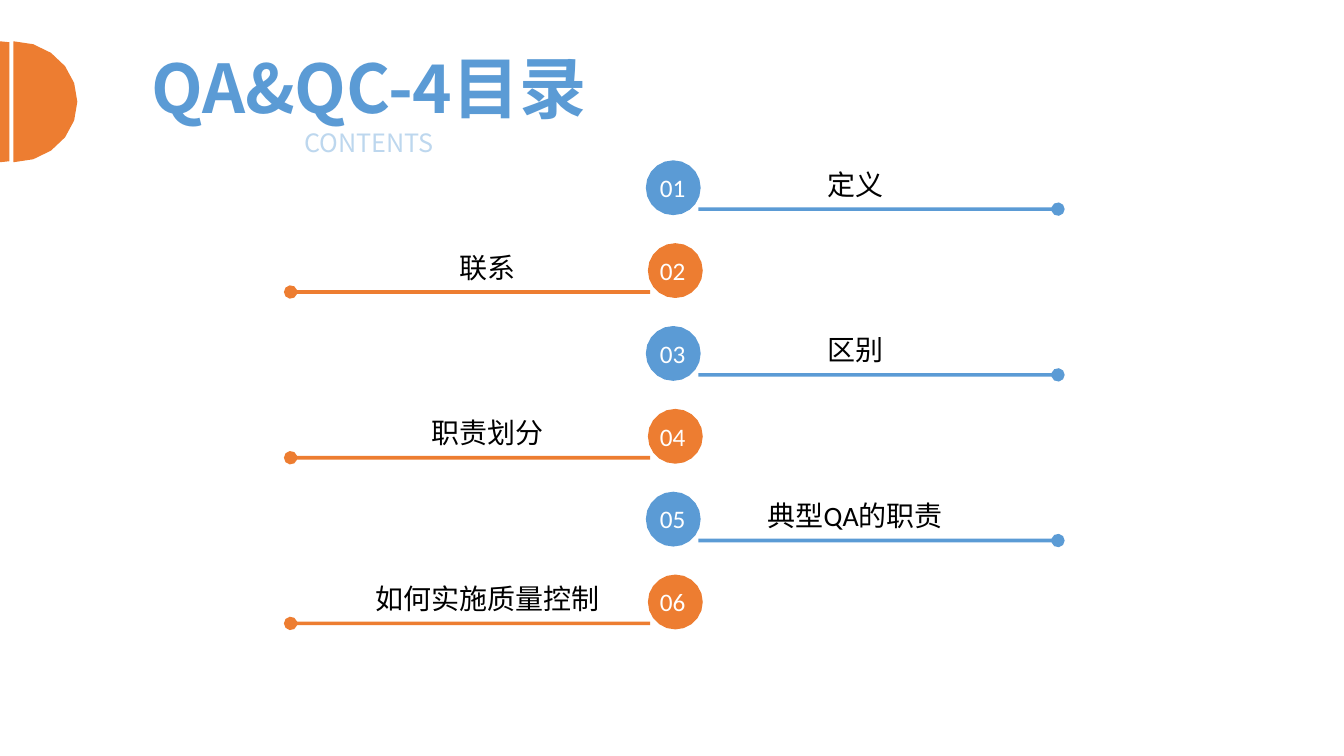
from dataclasses import dataclass
from math import asin, cos, degrees, radians, sin

from pptx import Presentation
from pptx.dml.color import RGBColor
from pptx.enum.text import MSO_ANCHOR as Anchor, PP_ALIGN as Align
from pptx.util import Pt


@dataclass(frozen=True)
class Theme:
    blue: str = "5B9BD5"
    orange: str = "ED7D31"
    pale: str = "BDD7EE"
    white: str = "FFFFFF"
    black: str = "000000"
    body_font: str = "Calibri"
    title_font: str = "Noto Sans CJK SC"
    title: int = 48
    label: int = 20
    small: int = 18


THEME = Theme()
TOPICS = ["定义", "联系", "区别", "职责划分", "典型QA的职责", "如何实施质量控制"]
FIRST_Y, ROW_STEP = 134.1, 59.18
DISC_R, DOT_R, BAR_HALF = 19.6, 4.8, 1.3
BAR_START, BAR_DROP, DOT_OFFSET = 18, 15.3, 274.8


def write(p, text, *, size, color, font=THEME.body_font, bold=False):
    p.alignment = Align.CENTER
    r = p.add_run()
    r.text = text
    r.font.name, r.font.size, r.font.bold = font, Pt(size), bold
    r.font.color.rgb = RGBColor.from_string(color)


def frame(sp, right=0, bottom=0):
    """Set up the text area of a shape, centred vertically, and return it."""
    tf = sp.text_frame
    tf.word_wrap = True
    tf.vertical_anchor = Anchor.MIDDLE
    tf.margin_left = tf.margin_top = 0
    tf.margin_right, tf.margin_bottom = Pt(right), Pt(bottom)
    return tf


def text_box(s, x, y, w, h):
    return frame(s.shapes.add_textbox(Pt(x), Pt(y), Pt(w), Pt(h)))


def arc(cx, cy, rx, ry, start, end, steps):
    angles = [radians(start + (end - start) * i / steps) for i in range(steps + 1)]
    return [(cx + rx * cos(a), cy + ry * sin(a)) for a in angles]


def outline(s, contours, color):
    """Draw closed contours, given in points, as one filled shape."""
    contours = [[(Pt(x), Pt(y)) for x, y in contour] for contour in contours]
    builder = s.shapes.build_freeform(*contours[0][0])
    for i, contour in enumerate(contours):
        if i:
            builder.move_to(*contour[0])
        builder.add_line_segments(contour[1:], close=True)
    sp = builder.convert_to_shape()
    sp.shadow.inherit = False
    sp.fill.solid()
    sp.fill.fore_color.rgb = RGBColor.from_string(color)
    sp.line.fill.background()
    return sp


def topic_marker(s, i, topic):
    """Draw a disc with a dotted bar, alternating right and left."""
    to_right = i % 2 == 0
    side = 1 if to_right else -1
    cx, cy = (480.9 if to_right else 482.4), FIRST_Y + ROW_STEP * i
    bar_y = cy + BAR_DROP
    joint = degrees(asin(BAR_HALF / DOT_R))
    facing = 180 if to_right else 0
    dot = arc(cx + side * DOT_OFFSET, bar_y, DOT_R, DOT_R,
              facing + joint, facing + 360 - joint, steps=8)
    bar_end = [(cx + side * BAR_START, bar_y + k * BAR_HALF) for k in (side, -side)]
    disc = arc(cx, cy, DISC_R, DISC_R, 0, 360, steps=20)[:-1]
    sp = outline(s, [dot + bar_end, disc], THEME.blue if to_right else THEME.orange)
    tf = frame(sp, right=0 if to_right else 8.6, bottom=5.8)
    write(tf.paragraphs[0], topic, size=THEME.label, color=THEME.black)


def topic_number(s, i):
    tf = text_box(s, 460, FIRST_Y - 18.2 + ROW_STEP * i, 41, 36)
    write(tf.paragraphs[0], f"{i + 1:02d}", size=THEME.small, color=THEME.white)


def half_disc(s):
    outline(s, [arc(9.6, 72.7, 45.6, 43.2, -90, 90, steps=10)], THEME.orange)


def heading(s):
    tf = text_box(s, 50.4, 29.5, 426.6, 86.4)
    write(tf.paragraphs[0], "QA&QC-4目录", size=THEME.title, color=THEME.blue,
          font=THEME.title_font, bold=True)
    write(tf.add_paragraph(), "CONTENTS", size=THEME.small, color=THEME.pale,
          font=THEME.title_font)


def edge_strip(s):
    outline(s, [[(0, 29.5), (6.7, 30.2), (6.7, 115.2), (0, 115.9)]], THEME.orange)


def main():
    prs = Presentation()
    prs.slide_width, prs.slide_height = Pt(960), Pt(540)
    s = prs.slides.add_slide(prs.slide_layouts[6])
    for i, topic in enumerate(TOPICS):
        topic_marker(s, i, topic)
    for i in range(len(TOPICS)):
        topic_number(s, i)
    half_disc(s)
    heading(s)
    edge_strip(s)
    prs.save("out.pptx")


if __name__ == "__main__":
    main()
